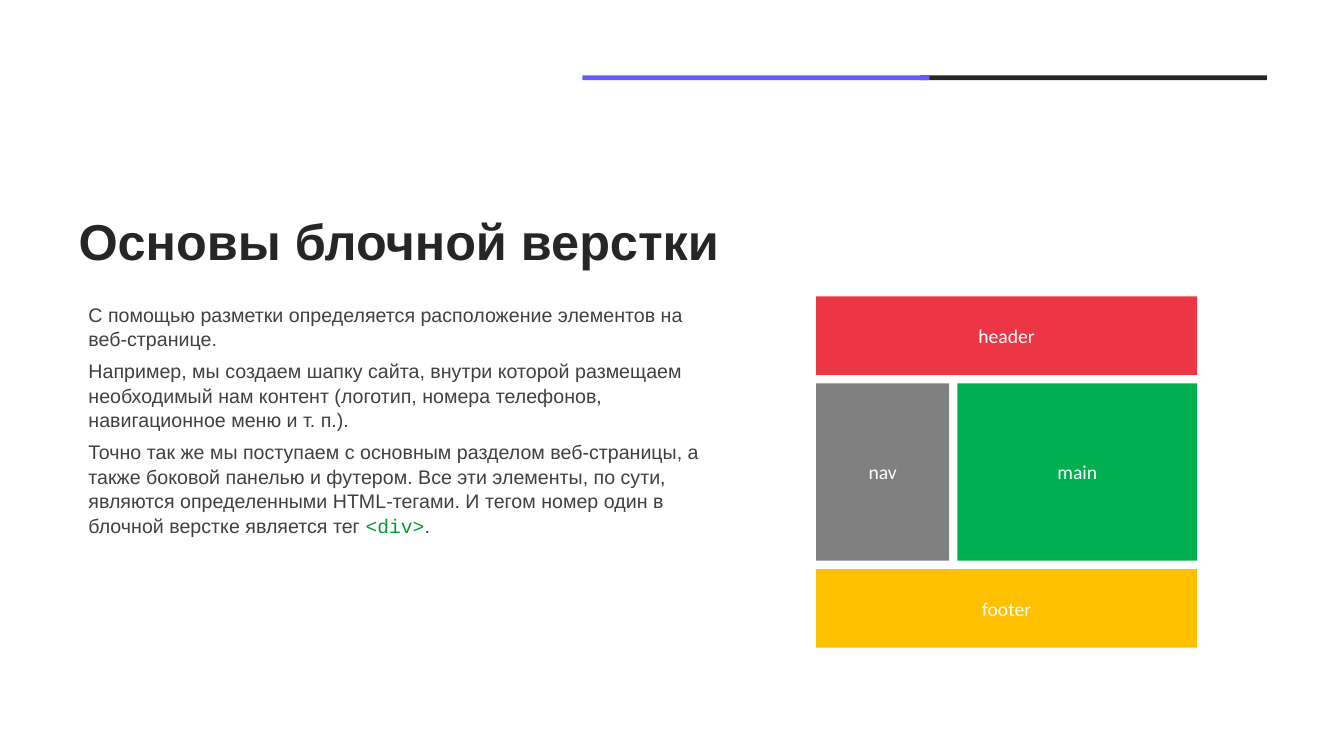
from pptx import Presentation
from pptx.dml.color import RGBColor
from pptx.enum import shapes, text
from pptx.util import Cm, Pt

INK = RGBColor(0x26, 0x26, 0x26)
VIOLET = RGBColor(0x67, 0x59, 0xFE)
BODY = RGBColor(0x40, 0x40, 0x40)
CODE = RGBColor(0x05, 0x99, 0x33)
RED = RGBColor(0xED, 0x36, 0x45)
GREY = RGBColor(0x80, 0x80, 0x80)
GREEN = RGBColor(0x00, 0xB0, 0x50)
GOLD = RGBColor(0xFF, 0xC0, 0x00)
WHITE = RGBColor(0xFF, 0xFF, 0xFF)

LEFT = 1.73
TOP = 7.47
PARAS = [
    ["С помощью разметки определяется расположение элементов на веб-странице."],
    ["Например, мы создаем шапку сайта, внутри которой размещаем необходимый "
     "нам контент (логотип, номера телефонов, навигационное меню и т. п.)."],
    ["Точно так же мы поступаем с основным разделом веб-страницы, а также "
     "боковой панелью и футером. Все эти элементы, по сути, являются "
     "определенными HTML-тегами. И тегом номер один в блочной верстке "
     "является тег ", "<div>", "."],
]


def style(run, size, color, face="Arial", bold=False):
    font = run.font
    font.size = Pt(size)
    font.name = face
    font.bold = bold
    font.color.rgb = color


def add_rect(slide, x, y, w, h, color):
    rect = slide.shapes.add_shape(
        shapes.MSO_SHAPE.RECTANGLE, Cm(x), Cm(y), Cm(w), Cm(h))
    rect.shadow.inherit = False
    rect.fill.solid()
    rect.fill.fore_color.rgb = color
    rect.line.fill.background()
    return rect


def add_block(slide, label, x, y, w, h, color):
    """Draw one labelled area of the web page layout."""
    frame = add_rect(slide, x, y, w, h, color).text_frame
    frame.text = label
    frame.vertical_anchor = text.MSO_ANCHOR.MIDDLE
    para = frame.paragraphs[0]
    para.alignment = text.PP_ALIGN.CENTER
    style(para.runs[0], 14, WHITE, "Calibri")


def add_box(slide, x, y, w, h):
    box = slide.shapes.add_textbox(Cm(x), Cm(y), Cm(w), Cm(h))
    box.text_frame.word_wrap = True
    return box.text_frame


def add_title(slide):
    frame = add_box(slide, LEFT, 5.26, 30.2, 1.8)
    frame.text = "Основы блочной верстки"
    frame.vertical_anchor = text.MSO_ANCHOR.MIDDLE
    para = frame.paragraphs[0]
    para.line_spacing = 0.9
    style(para.runs[0], 36, INK, bold=True)


def add_body(slide):
    frame = add_box(slide, LEFT, TOP, 16.54, 5.99)
    frame.auto_size = text.MSO_AUTO_SIZE.SHAPE_TO_FIT_TEXT
    for i, parts in enumerate(PARAS):
        para = frame.add_paragraph() if i else frame.paragraphs[0]
        para.space_before = Pt(5)
        para.line_spacing = 1.05
        para._p.get_or_add_pPr().set("marL", str(Cm(0.25)))
        for part in parts:
            run = para.add_run()
            run.text = part
            if part == "<div>":
                style(run, 14, CODE, "Courier New")
            else:
                style(run, 14, BODY)


def add_page(slide):
    """Draw the web page layout: header, nav beside main, footer."""
    x, wide, gap = 20.57, 9.6, 0.21
    band, tall, side = 1.98, 4.47, 3.35
    mid = TOP + band + gap
    low = mid + tall + gap
    inner = x + side + gap
    add_block(slide, "header", x, TOP, wide, band, RED)
    add_block(slide, "nav", x, mid, side, tall, GREY)
    add_block(slide, "footer", x, low, wide, band, GOLD)
    add_block(slide, "main", inner, mid, x + wide - inner, tall, GREEN)


def main():
    deck = Presentation()
    deck.slide_width, deck.slide_height = Cm(33.87), Cm(19.05)
    slide = deck.slides.add_slide(deck.slide_layouts[6])
    add_title(slide)
    for x, color in ((23.19, INK), (14.68, VIOLET)):
        add_rect(slide, x, 1.9, 8.74, 0.12, color)
    add_body(slide)
    add_page(slide)
    deck.save("out.pptx")


if __name__ == "__main__":
    main()
